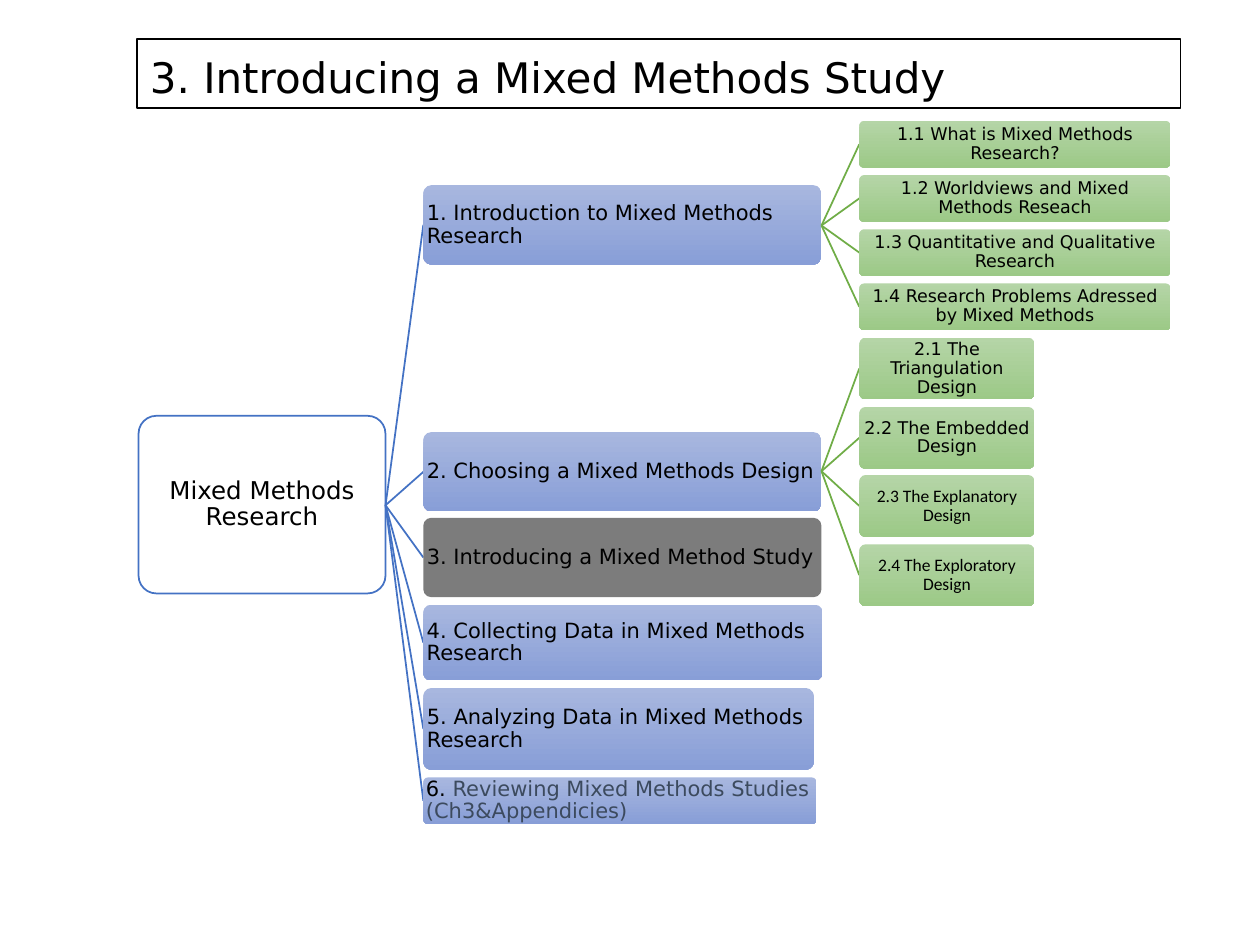
from lxml.etree import SubElement
from pptx import Presentation
from pptx.dml.color import RGBColor
from pptx.enum.shapes import MSO_CONNECTOR, MSO_SHAPE
from pptx.enum.text import MSO_ANCHOR, MSO_AUTO_SIZE, PP_ALIGN
from pptx.oxml.ns import qn
from pptx.util import Inches, Pt

BLUE, GREEN = "4472C4", "70AD47"
BLUE_FADE, GREEN_FADE = ["A8B7DF", "889ED7"], ["B5D5A7", "9CC987"]
NODE_FRAME = {
    "word_wrap": True,
    "auto_size": MSO_AUTO_SIZE.NONE,
    "vertical_anchor": MSO_ANCHOR.MIDDLE,
    "margin_left": Inches(0.01),
    "margin_right": Inches(0.01),
    "margin_top": Inches(0.01),
    "margin_bottom": Inches(0.01),
}


def paint(color_format, value):
    color_format.rgb = RGBColor.from_string(value)


def add_node(left, top, width, height, runs, size, align, colors,
             font="DejaVu Sans", start=None, line=BLUE):
    if start:
        link = page.shapes.add_connector(
            MSO_CONNECTOR.STRAIGHT, Inches(start[0]), Inches(start[1]),
            Inches(left), Inches(top + height / 2))
        paint(link.line.color, line)
        link.line.width = Pt(1)
        SubElement(link._element.spPr, qn("a:effectLst"))
    box = page.shapes.add_shape(
        MSO_SHAPE.ROUNDED_RECTANGLE, Inches(left), Inches(top), Inches(width), Inches(height))
    box.adjustments[0] = 0.1
    box.shadow.inherit = False
    if len(colors) == 1:
        box.fill.solid()
        paint(box.fill.fore_color, colors[0])
    else:
        box.fill.gradient()
        box.fill.gradient_angle = 270
        for stop, value in zip(box.fill.gradient_stops, colors):
            paint(stop.color, value)
    if start:
        box.line.fill.background()
    else:
        paint(box.line.color, line)
        box.line.width = Pt(1)
    for name, value in NODE_FRAME.items():
        setattr(box.text_frame, name, value)
    para = box.text_frame.paragraphs[0]
    para.alignment = align
    para.line_spacing = 0.9
    for text, color in runs:
        span = para.add_run()
        span.text = text
        for name, value in {"name": font, "size": Pt(size)}.items():
            setattr(span.font, name, value)
        paint(span.font.color, color)


deck = Presentation()
deck.slide_width, deck.slide_height = Inches(10), Inches(7.5)
page = deck.slides.add_slide(deck.slide_layouts[5])

title = page.shapes.title
title_place = {"left": 1.09, "top": 0.31, "width": 8.28, "height": 0.55}
for name, value in title_place.items():
    setattr(title, name, Inches(value))
title.fill.solid()
paint(title.fill.fore_color, "FFFFFF")
paint(title.line.color, "000000")
title.line.width = Pt(1)
title.text_frame.text = "3. Introducing a Mixed Methods Study"
title_frame = {"vertical_anchor": MSO_ANCHOR.BOTTOM, "auto_size": MSO_AUTO_SIZE.NONE}
for name, value in title_frame.items():
    setattr(title.text_frame, name, value)
heading = title.text_frame.paragraphs[0]
heading.alignment = PP_ALIGN.LEFT
for name, value in {"name": "DejaVu Sans", "size": Pt(24)}.items():
    setattr(heading.font, name, value)
paint(heading.font.color, "000000")

add_node(1.1, 3.3, 1.96, 1.41, [("Mixed Methods Research", "000000")], 14,
         PP_ALIGN.CENTER, ["FFFFFF"])

chapters = [
    (1.47, 3.16, 0.63, BLUE_FADE, [("1. Introduction to Mixed Methods Research", "000000")]),
    (3.43, 3.16, 0.63, BLUE_FADE, [("2. Choosing a Mixed Methods Design", "000000")]),
    (4.11, 3.16, 0.63, ["7C7C7C"], [("3. Introducing a Mixed Method Study", "000000")]),
    (4.8, 3.17, 0.6, BLUE_FADE, [("4. Collecting Data in Mixed Methods Research", "000000")]),
    (5.46, 3.1, 0.65, BLUE_FADE, [("5. Analyzing Data in Mixed Methods Research", "000000")]),
    (6.17, 3.12, 0.37, BLUE_FADE, [
        ("6. ", "000000"), ("Reviewing Mixed Methods Studies (Ch3&Appendicies)", "3C4A5E")]),
]
for top, width, height, colors, runs in chapters:
    add_node(3.36, top, width, height, runs, 12, PP_ALIGN.LEFT, colors, start=(3.06, 4.01))

sections = [
    (1.79, 0.96, 0.43, 2.47, 0.37, [
        ("1.1 What is Mixed Methods Research?", "DejaVu Sans"),
        ("1.2 Worldviews and Mixed Methods Reseach", "DejaVu Sans"),
        ("1.3 Quantitative and Qualitative Research", "DejaVu Sans"),
        ("1.4 Research Problems Adressed by Mixed Methods", "DejaVu Sans"),
    ]),
    (3.74, 2.68, 0.547, 1.39, 0.49, [
        ("2.1 The Triangulation Design", "DejaVu Sans"),
        ("2.2 The Embedded Design", "DejaVu Sans"),
        ("2.3 The Explanatory Design", "Calibri"),
        ("2.4 The Exploratory Design", "Calibri"),
    ]),
]
for start_y, first_top, pitch, width, height, topics in sections:
    for index, (text, font) in enumerate(topics):
        add_node(6.82, round(first_top + index * pitch, 2), width, height,
                 [(text, "000000")], 10, PP_ALIGN.CENTER, GREEN_FADE, font,
                 start=(6.52, start_y), line=GREEN)

deck.save("out.pptx")
